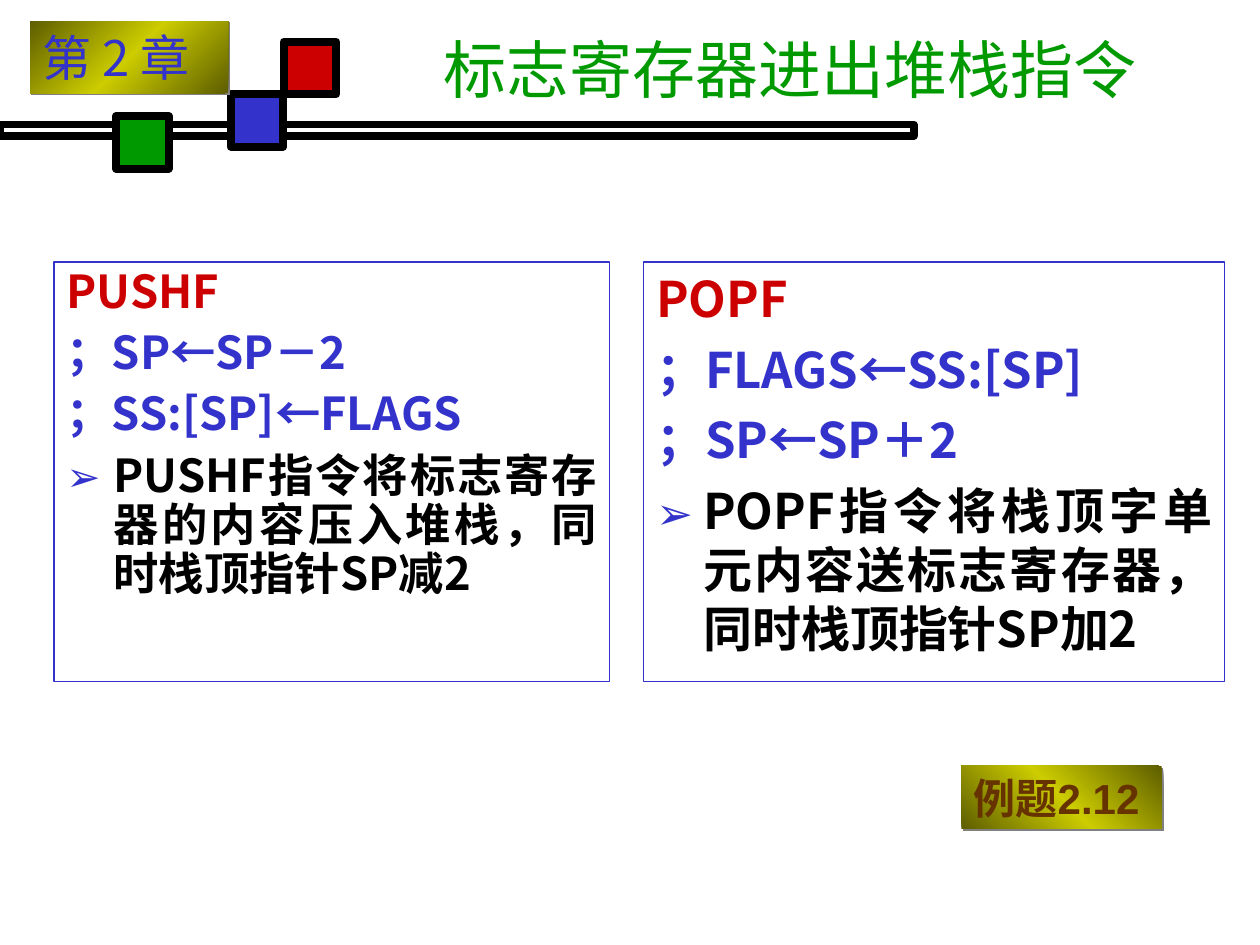
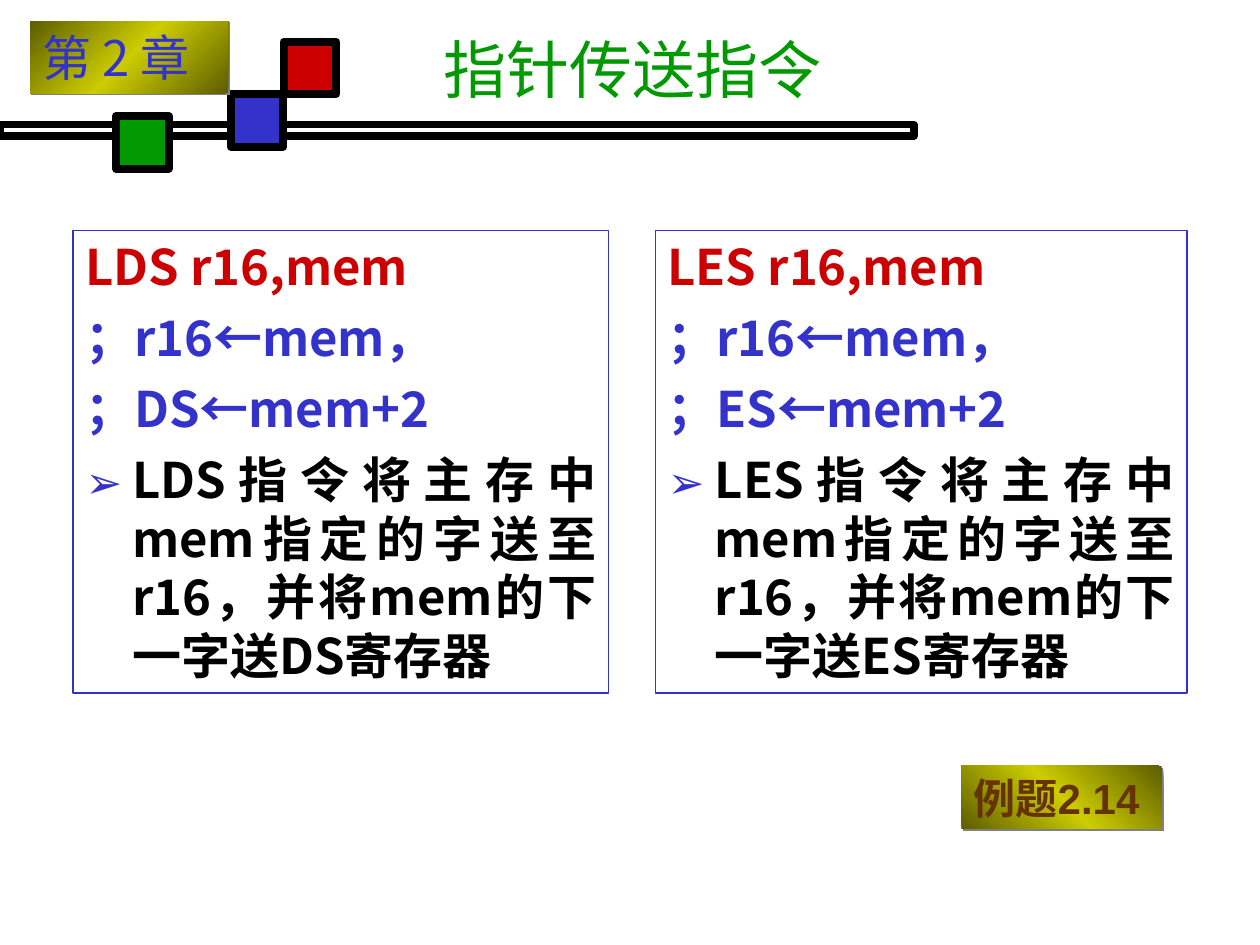
import pptx
import pptx.util
import pptx.dml.color
import pptx.enum.shapes
import pptx.enum.text
import pptx.oxml
import pptx.oxml.ns
from pptx.util import Cm, Pt

# Shared look
COLORS = {
    "red": "CC0000", "blue": "3333CC", "green": "009900", "black": "000000",
    "brown": "663300", "gold": "CCCC00", "dark_gold": "5E5E00", "shadow": "808080",
}
BODY_FONT = "Noto Sans CJK SC"
TITLE_STYLE = {"size": 36, "name": "Lato", "color": "green"}
CHAPTER_STYLE = {"size": 28, "name": "Noto Sans CJK JP", "color": "blue"}
EXAMPLE_STYLE = {"size": 24, "name": "Arial", "color": "brown", "bold": True}
HANGING = Cm(0.95)
SPACE_BEFORE = Pt(7)

# Boxes in cm: left, top, width, height
TITLE_BOX = (8.69, 0.2, 16.71, 2.34)
CHAPTER_BOX = (0.61, 0.43, 3.99, 1.45)
EXAMPLE_BOX = (19.38, 15.44, 4.04, 1.27)
BAR_BOX = (0, 2.51, 18.42, 0.23)
SQUARE_SIDE = 1.06
SQUARES = [("blue", 4.65, 1.9), ("green", 2.34, 2.34), ("red", 5.72, 0.84)]

# Content: each panel has a heading, its operations and an explanation
SLIDES = [
    {
        "title": "标志寄存器进出堆栈指令",
        "example": "例题2.12",
        "panels": [
            {"box": (1.09, 5.28, 11.2, 8.46), "size": 25.9, "line": 28,
             "heading": "PUSHF",
             "operations": ["；SP←SP－2", "；SS:[SP]←FLAGS"],
             "explanation": "PUSHF指令将标志寄存器的内容压入堆栈，同时栈顶指针SP减2"},
            {"box": (12.98, 5.28, 11.71, 8.46), "size": 28, "line": 33.5,
             "heading": "POPF",
             "operations": ["；FLAGS←SS:[SP]", "；SP←SP＋2"],
             "explanation": "POPF指令将栈顶字单元内容送标志寄存器，同时栈顶指针SP加2"},
        ],
    },
    {
        "title": "指针传送指令",
        "example": "例题2.14",
        "panels": [
            {"box": (left, 4.65, width, 9.32), "size": 28, "line": 33.5,
             "heading": f"L{segment} r16,mem",
             "operations": ["；r16←mem，", f"；{segment}←mem+2"],
             "explanation": f"L{segment}指令将主存中mem指定的字送至r16，"
                            f"并将mem的下一字送{segment}寄存器"}
            for segment, left, width in [("DS", 1.47, 10.8), ("ES", 13.21, 10.72)]
        ],
    },
]


def rgb(color):
    return pptx.dml.color.RGBColor.from_string(COLORS[color])


def drawing_xml(tag, attributes="", inner=""):
    namespace = pptx.oxml.ns.nsdecls("a")
    return pptx.oxml.parse_xml(f"<a:{tag} {namespace} {attributes}>{inner}</a:{tag}>")


def color_xml(color):
    return f'<a:srgbClr val="{COLORS[color]}"/>'


def add_rectangle(slide, box, fill=None, line=None, line_width=0.75):
    shape = slide.shapes.add_shape(
        pptx.enum.shapes.MSO_SHAPE.RECTANGLE, *[Cm(length) for length in box])
    shape.shadow.inherit = False
    if fill:
        shape.fill.solid()
        shape.fill.fore_color.rgb = rgb(fill)
    else:
        shape.fill.background()
    if line:
        shape.line.color.rgb = rgb(line)
        shape.line.width = Pt(line_width)
    else:
        shape.line.fill.background()
    return shape


def set_frame(text_frame, **changes):
    values = {
        "word_wrap": True,
        "vertical_anchor": pptx.enum.text.MSO_ANCHOR.MIDDLE,
        "margin_left": Cm(0.25), "margin_right": Cm(0.25),
        "margin_top": Cm(0.13), "margin_bottom": Cm(0.13),
    }
    for name, value in (values | changes).items():
        setattr(text_frame, name, value)


def add_run(paragraph, text, style):
    run = paragraph.add_run()
    run.text = text
    for name, value in style.items():
        if name == "color":
            run.font.color.rgb = rgb(value)
        else:
            setattr(run.font, name, Pt(value) if name == "size" else value)
    latin = run.font._element.find(pptx.oxml.ns.qn("a:latin"))
    latin.addnext(drawing_xml("ea", f'typeface="{style["name"]}"'))


def add_bullet(paragraph):
    properties = paragraph._p.get_or_add_pPr()
    properties.append(drawing_xml("buClr", inner=color_xml("blue")))
    properties.append(drawing_xml("buSzPct", 'val="90000"'))
    properties.append(drawing_xml("buFont", f'typeface="{BODY_FONT}"'))
    properties.append(drawing_xml("buChar", 'char="➢"'))


def add_badge(slide, box, text, style, angle):
    shape = add_rectangle(slide, box)
    # Three-stop gold gradient, clockwise angle
    shape.fill.gradient()
    shape.fill.gradient_angle = 360 - angle
    stops = shape._element.spPr.find(".//" + pptx.oxml.ns.qn("a:gsLst"))
    for stop in list(stops):
        stops.remove(stop)
    for position, color in [(0, "dark_gold"), (50, "gold"), (100, "dark_gold")]:
        stops.append(drawing_xml("gs", f'pos="{position * 1000}"', color_xml(color)))
    # Hard shadow to the lower right
    effects = shape._element.spPr.find(pptx.oxml.ns.qn("a:effectLst"))
    effects.append(drawing_xml(
        "outerShdw", f'dist="{Pt(1.4)}" dir="2700000" algn="ctr" rotWithShape="0"',
        color_xml("shadow")))
    set_frame(shape.text_frame, word_wrap=False)
    paragraph = shape.text_frame.paragraphs[0]
    paragraph.alignment = pptx.enum.text.PP_ALIGN.LEFT
    add_run(paragraph, text, style)


def add_title(slide, text):
    box = slide.shapes.add_textbox(*[Cm(length) for length in TITLE_BOX])
    set_frame(box.text_frame)
    paragraph = box.text_frame.paragraphs[0]
    paragraph.alignment = pptx.enum.text.PP_ALIGN.JUSTIFY
    add_run(paragraph, text, TITLE_STYLE)


def add_panel(slide, panel):
    text_frame = add_rectangle(slide, panel["box"], line="blue").text_frame
    set_frame(text_frame, vertical_anchor=pptx.enum.text.MSO_ANCHOR.TOP)
    lines = [(panel["heading"], "red")]
    lines += [(operation, "blue") for operation in panel["operations"]]
    lines.append((panel["explanation"], "black"))
    for index, (text, color) in enumerate(lines):
        paragraph = text_frame.add_paragraph() if index else text_frame.paragraphs[0]
        paragraph.alignment = pptx.enum.text.PP_ALIGN.JUSTIFY
        paragraph.line_spacing = Pt(panel["line"])
        if index:
            paragraph.space_before = SPACE_BEFORE
        properties = paragraph._p.get_or_add_pPr()
        properties.set("marL", str(HANGING))
        properties.set("indent", str(-HANGING))
        if color == "black":
            add_bullet(paragraph)
        add_run(paragraph, text, {"size": panel["size"], "name": BODY_FONT,
                                  "color": color, "bold": True})


def add_header(slide):
    add_rectangle(slide, BAR_BOX, line="black", line_width=4.5)
    for color, left, top in SQUARES:
        add_rectangle(slide, (left, top, SQUARE_SIDE, SQUARE_SIDE),
                      fill=color, line="black", line_width=4.5)
    add_badge(slide, CHAPTER_BOX, "第 2 章", CHAPTER_STYLE, angle=45)


def main():
    presentation = pptx.Presentation()
    presentation.slide_width = Cm(25.4)
    presentation.slide_height = Cm(19.05)
    for content in SLIDES:
        slide = presentation.slides.add_slide(presentation.slide_layouts[6])
        add_title(slide, content["title"])
        for panel in content["panels"]:
            add_panel(slide, panel)
        add_badge(slide, EXAMPLE_BOX, content["example"], EXAMPLE_STYLE, angle=315)
        add_header(slide)
    presentation.save("out.pptx")


if __name__ == "__main__":
    main()
